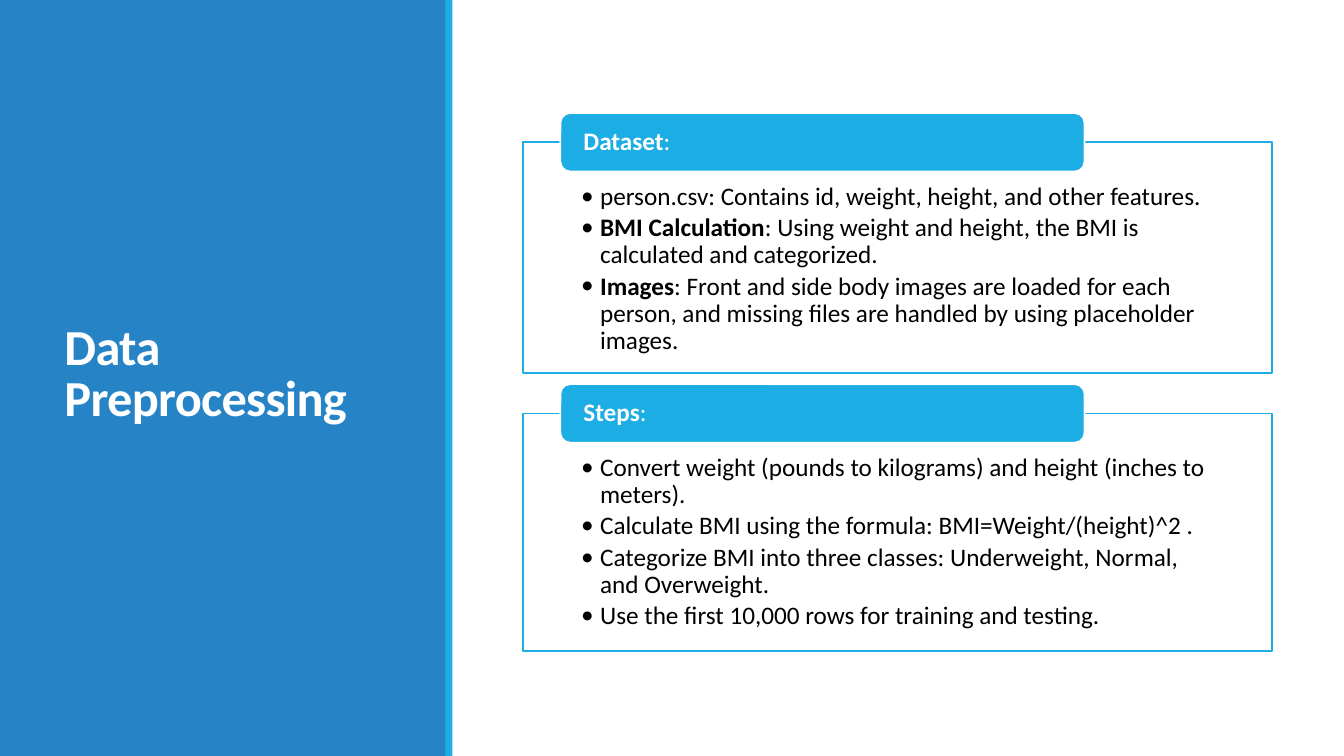
from dataclasses import dataclass

from lxml import etree
from pptx import Presentation
from pptx.dml.color import RGBColor
from pptx.enum.shapes import MSO_SHAPE
from pptx.enum.text import MSO_ANCHOR, PP_ALIGN
from pptx.oxml.ns import qn
from pptx.shapes.autoshape import Shape
from pptx.slide import Slide
from pptx.text.text import TextFrame, _Paragraph
from pptx.util import Pt

RECTANGLE = MSO_SHAPE.RECTANGLE
ROUNDED = MSO_SHAPE.ROUNDED_RECTANGLE
MIDDLE = MSO_ANCHOR.MIDDLE
TOP = MSO_ANCHOR.TOP
LEFT = PP_ALIGN.LEFT

FONT = "Calibri"
BLUE, CYAN, WHITE, BLACK = "2683C6", "1CADE4", "FFFFFF", "000000"
SLIDE_WIDTH, SLIDE_HEIGHT = 960, 540
SIDEBAR_WIDTH, STRIPE_LEFT, STRIPE_WIDTH = 319, 318.2, 5
PANEL_LEFT, PANEL_WIDTH = 373.7, 535
HEADER_LEFT, HEADER_WIDTH, HEADER_HEIGHT = 400.3, 374.4, 41.8
BULLET_INDENT = 13.5


@dataclass
class Line:
    """A line of text that may open with bold words."""
    bold: str
    plain: str


@dataclass
class Panel:
    heading: str
    top: float
    height: float
    bullets: list[Line]


PANELS = [
    Panel("Dataset", 101.6, 164.8, [
        Line("", "person.csv: Contains id, weight, height, and other features."),
        Line("BMI Calculation", ": Using weight and height, the BMI is calculated and categorized."),
        Line("Images", ": Front and side body images are loaded for each person, "
                       "and missing files are handled by using placeholder images."),
    ]),
    Panel("Steps", 295.3, 169.8, [
        Line("", "Convert weight (pounds to kilograms) and height (inches to meters)."),
        Line("", "Calculate BMI using the formula: BMI=Weight/(height)^2 ."),
        Line("", "Categorize BMI into three classes: Underweight, Normal, and Overweight."),
        Line("", "Use the first 10,000 rows for training and testing."),
    ]),
]


def color(value: str) -> RGBColor:
    return RGBColor.from_string(value)


def add_block(page: Slide, kind: MSO_SHAPE, left: float, top: float, width: float,
              height: float, fill: str, outline: str = "") -> Shape:
    block = page.shapes.add_shape(kind, Pt(left), Pt(top), Pt(width), Pt(height))
    block.shadow.inherit = False
    block.fill.solid()
    block.fill.fore_color.rgb = color(fill)
    if outline:
        block.line.color.rgb = color(outline)
        block.line.width = Pt(1.25)
    else:
        block.line.fill.background()
    return block


def set_frame(frame: TextFrame, anchor: MSO_ANCHOR, side: float, top: float, bottom: float) -> None:
    frame.word_wrap = True
    frame.vertical_anchor = anchor
    frame.margin_left = frame.margin_right = Pt(side)
    frame.margin_top, frame.margin_bottom = Pt(top), Pt(bottom)


def write_line(para: _Paragraph, line: Line, size: float, ink: str, spacing: float) -> None:
    para.alignment = LEFT
    para.line_spacing = spacing
    para.font.name = FONT
    para.font.size = Pt(size)
    para.font.color.rgb = color(ink)
    for words, bold in ((line.bold, True), (line.plain, False)):
        if words:
            span = para.add_run()
            span.text = words
            span.font.bold = bold


def add_bullet(para: _Paragraph) -> None:
    properties = para._p.get_or_add_pPr()
    properties.set("marL", str(Pt(BULLET_INDENT)))
    properties.set("indent", str(-Pt(BULLET_INDENT)))
    etree.SubElement(properties, qn("a:buFont")).set("typeface", FONT)
    # The default run properties must stay after the bullet.
    etree.SubElement(properties, qn("a:buChar")).set("char", "•")
    defaults = properties.find(qn("a:defRPr"))
    if defaults is not None:
        properties.append(defaults)


def add_sidebar(page: Slide) -> None:
    add_block(page, RECTANGLE, 0, 0, SIDEBAR_WIDTH, SLIDE_HEIGHT, BLUE)
    title = page.shapes.add_textbox(Pt(39), Pt(41), Pt(242.6), Pt(454.3))
    set_frame(title.text_frame, MIDDLE, 7.2, 3.6, 3.6)
    para = title.text_frame.paragraphs[0]
    write_line(para, Line("Data Preprocessing", ""), 36, WHITE, 0.85)
    para.runs[0].font._element.set("spc", "-50")
    add_block(page, RECTANGLE, STRIPE_LEFT, 0, STRIPE_WIDTH, SLIDE_HEIGHT, CYAN)


def add_panel(page: Slide, panel: Panel) -> None:
    body = add_block(page, RECTANGLE, PANEL_LEFT, panel.top, PANEL_WIDTH, panel.height, WHITE, CYAN)
    frame = body.text_frame
    set_frame(frame, TOP, 41.5, 29.5, 10)
    for index, bullet in enumerate(panel.bullets):
        para = frame.add_paragraph() if index else frame.paragraphs[0]
        write_line(para, bullet, 18, BLACK, 0.9)
        para.space_after = Pt(2.9)
        add_bullet(para)

    header = add_block(page, ROUNDED, HEADER_LEFT, panel.top - HEADER_HEIGHT / 2,
                       HEADER_WIDTH, HEADER_HEIGHT, CYAN, WHITE)
    set_frame(header.text_frame, MIDDLE, 14.4, 0, 0)
    write_line(header.text_frame.paragraphs[0], Line(panel.heading, ":"), 18, WHITE, 0.9)


def main() -> None:
    deck = Presentation()
    deck.slide_width, deck.slide_height = Pt(SLIDE_WIDTH), Pt(SLIDE_HEIGHT)
    page = deck.slides.add_slide(deck.slide_layouts[6])
    add_sidebar(page)
    for panel in PANELS:
        add_panel(page, panel)
    deck.save("out.pptx")


if __name__ == "__main__":
    main()
